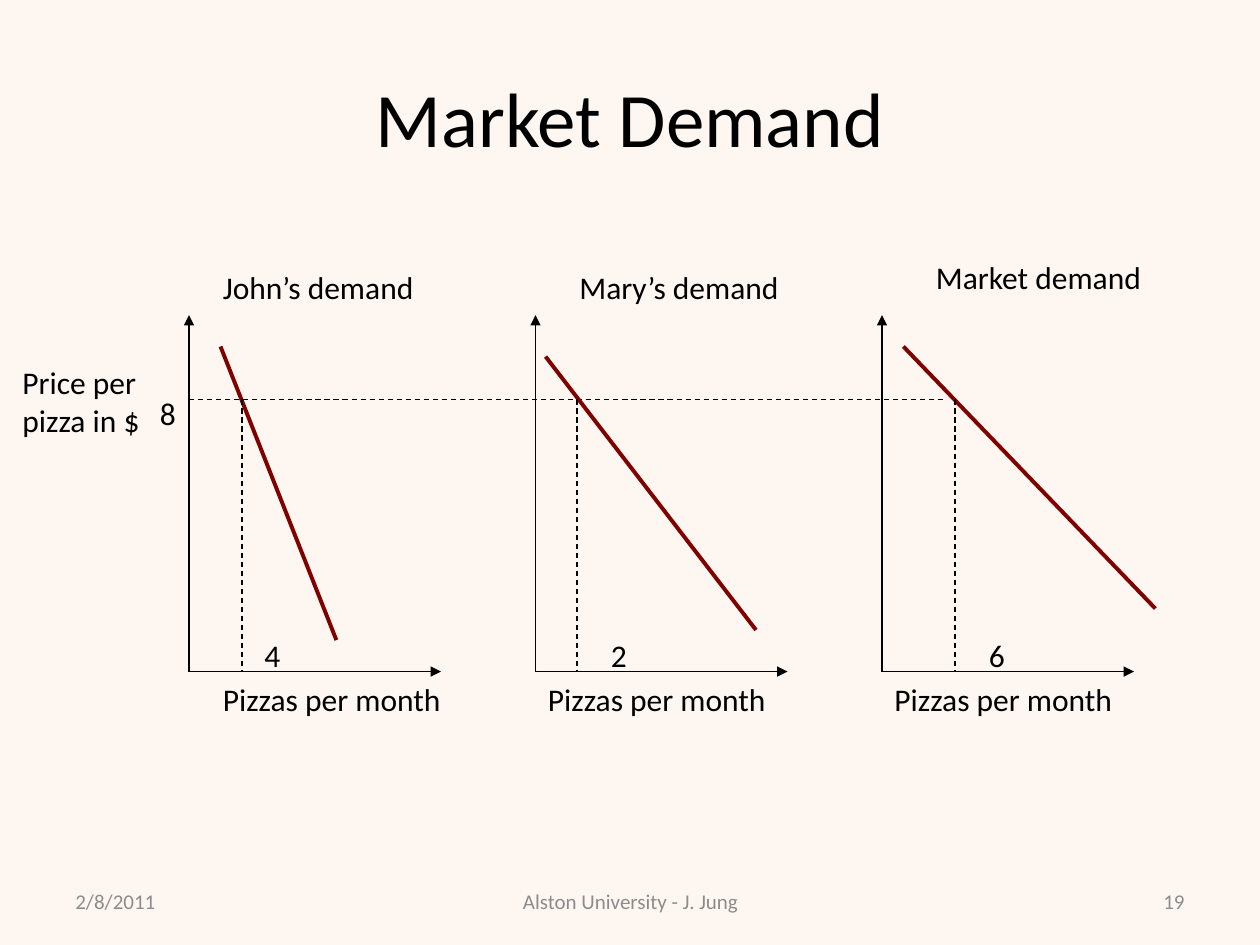
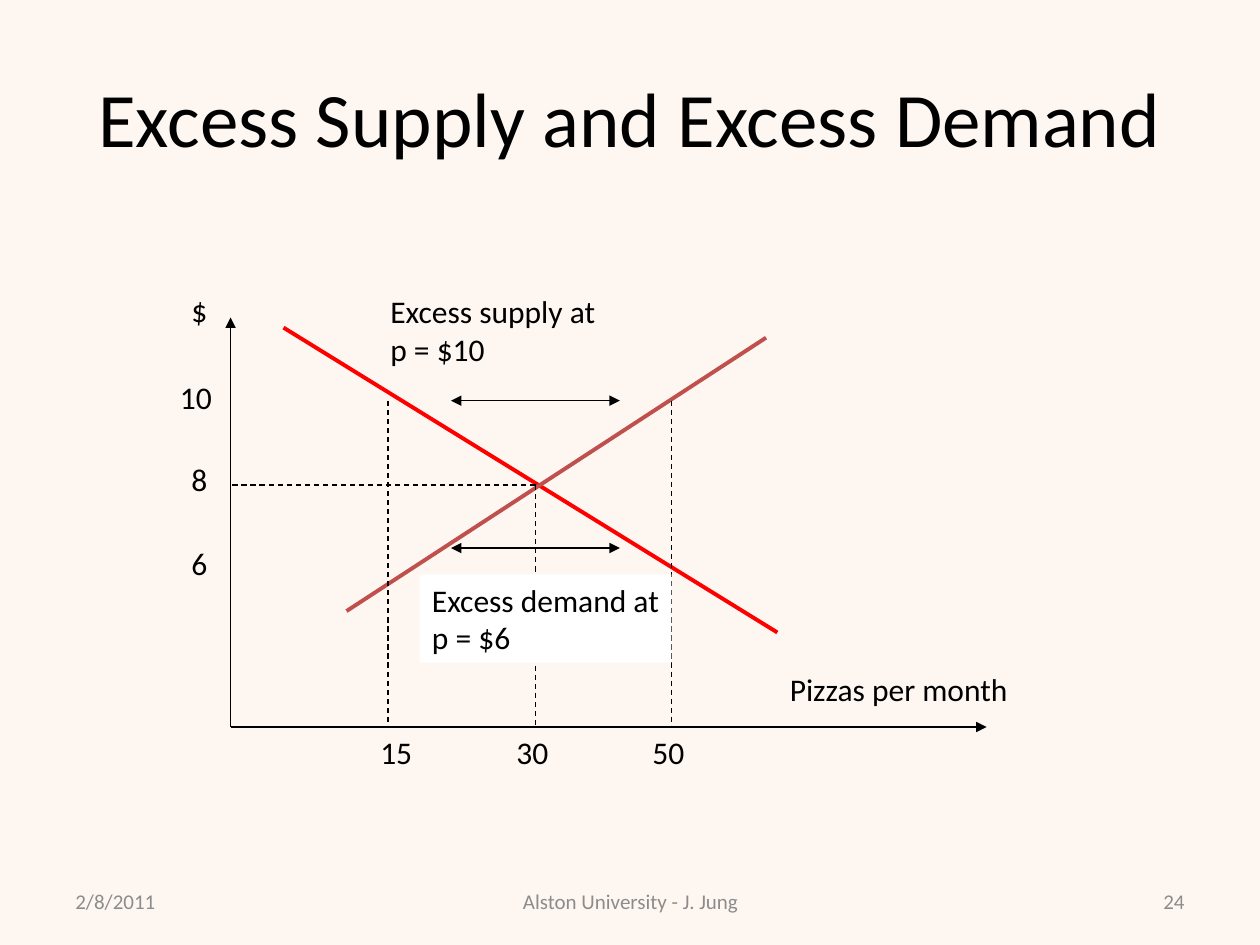
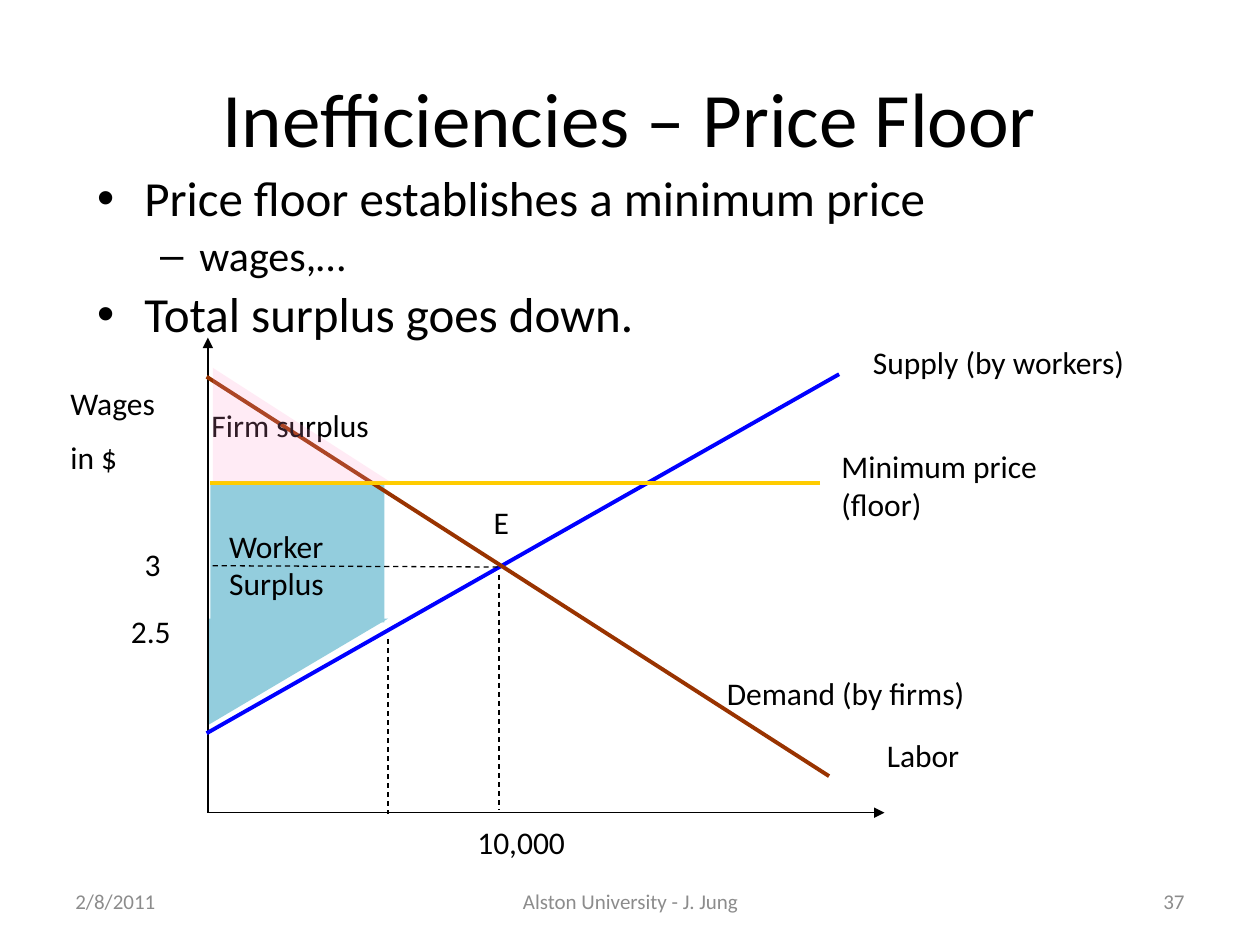
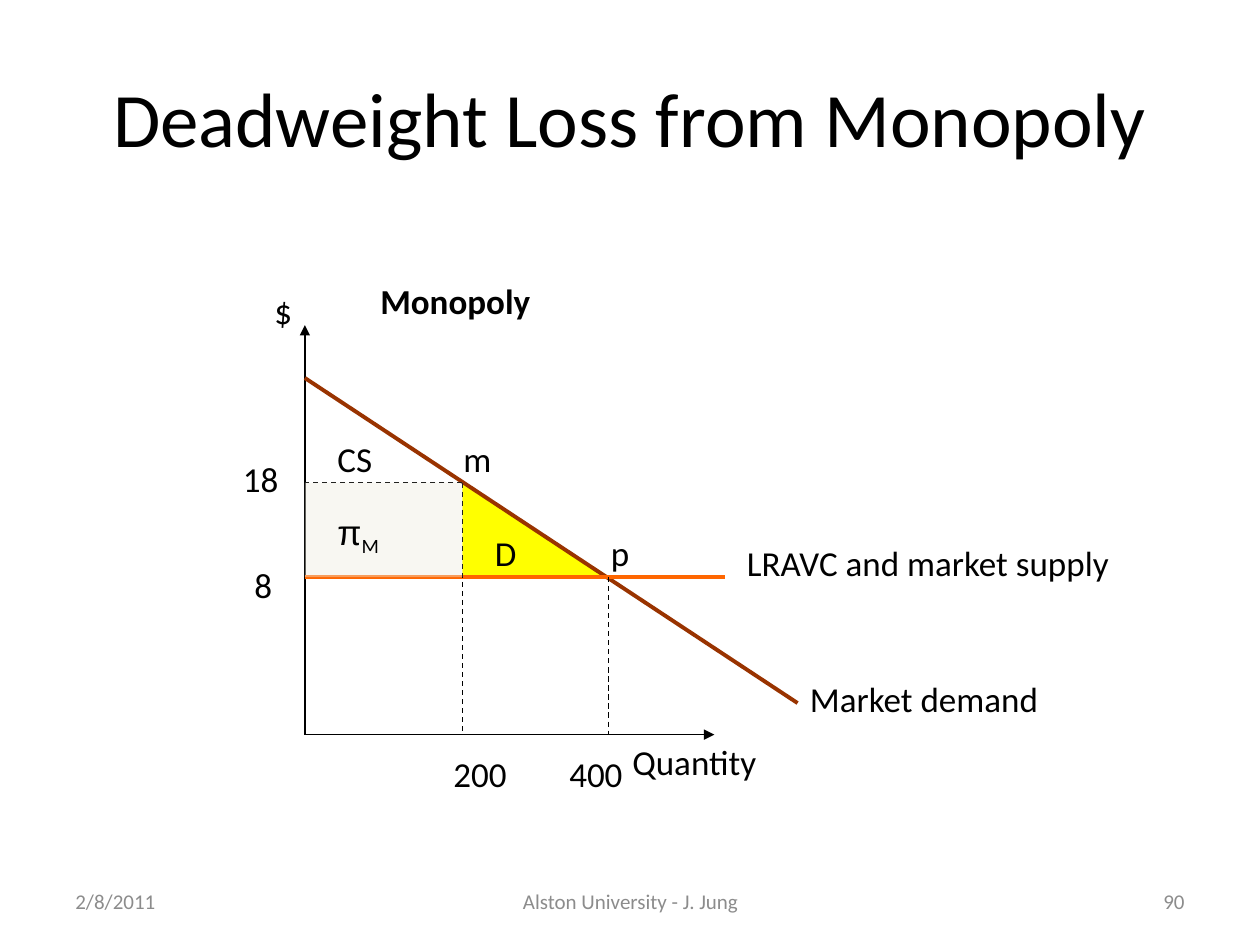
from typing import NamedTuple

from lxml.etree import SubElement
from pptx import Presentation
from pptx.dml.color import RGBColor
from pptx.enum.dml import MSO_LINE
from pptx.enum.shapes import MSO_CONNECTOR, MSO_SHAPE
from pptx.enum.text import MSO_ANCHOR, MSO_AUTO_SIZE, PP_ALIGN
from pptx.oxml.ns import qn
from pptx.presentation import Presentation as Deck
from pptx.slide import Slide
from pptx.util import Inches, Pt

# Shared style
BLACK = RGBColor(0x00, 0x00, 0x00)
WHITE = RGBColor(0xFF, 0xFF, 0xFF)
CREAM = RGBColor(0xFE, 0xF7, 0xF1)
FOOTER_GRAY = RGBColor(0x8C, 0x8C, 0x8C)
MAROON = RGBColor(0x80, 0x00, 0x00)
RED = RGBColor(0xFF, 0x00, 0x00)
BRICK = RGBColor(0xC0, 0x50, 0x4D)
BLUE = RGBColor(0x00, 0x00, 0xFF)
BROWN = RGBColor(0x99, 0x33, 0x00)
GOLD = RGBColor(0xFF, 0xCC, 0x00)
ORANGE = RGBColor(0xFF, 0x66, 0x00)
AQUA = RGBColor(0x93, 0xCD, 0xDD)
PINK = RGBColor(0xFF, 0x99, 0xCC)
YELLOW = RGBColor(0xFF, 0xFF, 0x00)
TAN = RGBColor(0xEE, 0xEC, 0xE1)

FONT = "Calibri"
THIN, THICK = 0.75, 2.25
TITLE_ONLY, TITLE_AND_BODY = 5, 1


class Point(NamedTuple):
    x: float
    y: float


class Box(NamedTuple):
    left: float
    top: float
    width: float
    height: float = 0.4


class Label(NamedTuple):
    text: str
    box: Box


class Axes(NamedTuple):
    origin: Point
    top: float
    right: float


class Curve(NamedTuple):
    start: Point
    end: Point
    color: RGBColor


class DemandPanel(NamedTuple):
    axis_x: float
    curve: Curve
    guide_x: float
    quantity: Label
    heading: Label
    axis_label_box: Box


TITLE_BOX = Box(0.5, 0.3, 9, 1.25)
FOOTER_TOP = 6.95


# Drawing functions
def place(shape, box: Box) -> None:
    shape.left, shape.top, shape.width, shape.height = map(Inches, box)


def format_text(frame, *, size: float, color: RGBColor = BLACK, font: str = FONT,
                bold: bool = False, align: PP_ALIGN = PP_ALIGN.LEFT) -> None:
    for paragraph in frame.paragraphs:
        paragraph.alignment = align
        for run in paragraph.runs:
            run.font.name, run.font.size, run.font.bold = font, Pt(size), bold
            run.font.color.rgb = color


def add_text(slide: Slide, text: str, box: Box, *, size: float = 18,
             anchor: MSO_ANCHOR = MSO_ANCHOR.TOP, grow: bool = True,
             fill: RGBColor | None = None, paragraph_gap: float = 0, **style):
    text_box = slide.shapes.add_textbox(*map(Inches, box))
    if fill is not None:
        text_box.fill.solid()
        text_box.fill.fore_color.rgb = fill
    frame = text_box.text_frame
    frame.word_wrap = True
    frame.auto_size = MSO_AUTO_SIZE.SHAPE_TO_FIT_TEXT if grow else MSO_AUTO_SIZE.NONE
    frame.vertical_anchor = anchor
    frame.text = text
    for paragraph in frame.paragraphs[1:]:
        paragraph.space_before = Pt(paragraph_gap)
    format_text(frame, size=size, **style)
    return frame


def add_labels(slide: Slide, labels: list[Label], size: float = 18) -> None:
    for label in labels:
        add_text(slide, label.text, label.box, size=size)


def add_line(slide: Slide, start: Point, end: Point, *, color: RGBColor = BLACK,
             width: float = THIN, dashed: bool = False,
             arrows: tuple[str, ...] = ()) -> None:
    connector = slide.shapes.add_connector(
        MSO_CONNECTOR.STRAIGHT, *map(Inches, (*start, *end)))
    connector.line.color.rgb = color
    connector.line.width = Pt(width)
    if dashed:
        connector.line.dash_style = MSO_LINE.DASH
    properties = connector._element.spPr
    for arrow in arrows:
        SubElement(properties.find(qn("a:ln")), qn(f"a:{arrow}"), type="triangle")
    SubElement(properties, qn("a:effectLst"))


def add_guide(slide: Slide, start: Point, end: Point) -> None:
    add_line(slide, start, end, dashed=True)


def add_curve(slide: Slide, curve: Curve) -> None:
    add_line(slide, curve.start, curve.end, color=curve.color, width=THICK)


def add_axes(slide: Slide, axes: Axes) -> None:
    for end in (Point(axes.origin.x, axes.top), Point(axes.right, axes.origin.y)):
        add_line(slide, axes.origin, end, arrows=("tailEnd",))


def add_area(slide: Slide, kind: MSO_SHAPE, box: Box, color: RGBColor, *,
             opacity: int = 100, rotation: float = 0) -> None:
    area = slide.shapes.add_shape(kind, *map(Inches, box))
    area.shadow.inherit = False
    area.rotation = rotation
    area.line.fill.background()
    area.fill.solid()
    area.fill.fore_color.rgb = color
    if opacity < 100:
        fill_color = next(area._element.spPr.iter(qn("a:srgbClr")))
        SubElement(fill_color, qn("a:alpha"), val=str(opacity * 1000))


def add_slide(deck: Deck, title: str, number: int, *, background: RGBColor = WHITE,
              layout: int = TITLE_ONLY) -> Slide:
    slide = deck.slides.add_slide(deck.slide_layouts[layout])
    slide.background.fill.solid()
    slide.background.fill.fore_color.rgb = background
    heading = slide.shapes.title
    place(heading, TITLE_BOX)
    heading.text_frame.text = title
    heading.text_frame.vertical_anchor = MSO_ANCHOR.MIDDLE
    format_text(heading.text_frame, size=44, align=PP_ALIGN.CENTER)

    footers = (
        ("2/8/2011", 0.5, 2.33, PP_ALIGN.LEFT),
        ("Alston University - J. Jung", 3.42, 3.17, PP_ALIGN.CENTER),
        (str(number), 7.17, 2.33, PP_ALIGN.RIGHT),
    )
    for text, left, width, align in footers:
        add_text(slide, text, Box(left, FOOTER_TOP, width), size=12, color=FOOTER_GRAY,
                 align=align, anchor=MSO_ANCHOR.MIDDLE, grow=False)
    return slide


# Slide content
def build_market_demand(deck: Deck) -> None:
    slide = add_slide(deck, "Market Demand", 19, background=CREAM)
    base, price_y = 5.33, 3.17
    panels = [
        DemandPanel(1.5, Curve(Point(1.75, 2.75), Point(2.67, 5.08), MAROON), 1.92,
                    Label("4", Box(2, 5, 0.5)),
                    Label("John’s demand", Box(1.67, 2.08, 2.17)),
                    Box(1.67, 5.35, 2.75)),
        DemandPanel(4.25, Curve(Point(4.33, 2.83), Point(6, 5), MAROON), 4.58,
                    Label("2", Box(4.75, 5, 0.42)),
                    Label("Mary’s demand", Box(4.5, 2.08, 1.92)),
                    Box(4.25, 5.35, 2.58)),
        DemandPanel(7, Curve(Point(7.17, 2.75), Point(9.17, 4.83), MAROON), 7.58,
                    Label("6", Box(7.75, 5, 0.58)),
                    Label("Market demand", Box(7.33, 2, 2)),
                    Box(7, 5.35, 2.58)),
    ]
    add_guide(slide, Point(1.5, price_y), Point(7.5, price_y))
    for panel in panels:
        add_axes(slide, Axes(Point(panel.axis_x, base), 2.5, panel.axis_x + 2))
        add_curve(slide, panel.curve)
        add_guide(slide, Point(panel.guide_x, price_y), Point(panel.guide_x, base))
        add_labels(slide, [panel.quantity, panel.heading,
                           Label("Pizzas per month", panel.axis_label_box)])
    add_labels(slide, [
        Label("Price per pizza in $", Box(0.08, 2.83, 1.33, 0.7)),
        Label("8", Box(1.17, 3.08, 0.58)),
    ])


def build_excess_supply_and_demand(deck: Deck) -> None:
    slide = add_slide(deck, "Excess Supply and Excess Demand", 24, background=CREAM)
    origin = Point(1.83, 5.77)
    high_price_y, equilibrium_y = 3.18, 3.85
    add_axes(slide, Axes(origin, 2.52, 7.83))
    add_curve(slide, Curve(Point(2.25, 2.6), Point(6.17, 5.02), RED))
    add_curve(slide, Curve(Point(2.75, 4.85), Point(6.08, 2.68), BRICK))

    # Guides and excess arrows
    for x, y in ((3.08, high_price_y), (4.25, equilibrium_y), (5.33, high_price_y)):
        add_guide(slide, Point(x, y), Point(x, origin.y))
    add_guide(slide, Point(4.25, equilibrium_y), Point(origin.x, equilibrium_y))
    for y in (high_price_y, 4.35):
        add_line(slide, Point(3.58, y), Point(4.92, y), arrows=("headEnd", "tailEnd"))

    add_labels(slide, [
        Label("$", Box(1.42, 2.26, 0.67)),
        Label("10", Box(1.33, 2.95, 0.67)),
        Label("8", Box(1.42, 3.6, 0.42)),
        Label("6", Box(1.42, 4.27, 0.42)),
        Label("15", Box(2.92, 5.77, 0.5)),
        Label("30", Box(4, 5.77, 0.92)),
        Label("50", Box(5.08, 5.77, 0.92)),
        Label("Pizzas per month", Box(6.17, 5.27, 2.5)),
        Label("Excess supply at\vp = $10", Box(3, 2.27, 2.33, 0.7)),
    ])
    add_text(slide, "Excess demand at p = $6", Box(3.33, 4.56, 2, 0.7), fill=WHITE)


def build_price_floor(deck: Deck) -> None:
    slide = add_slide(deck, "Inefficiencies – Price Floor", 37, layout=TITLE_AND_BODY)
    body = slide.placeholders[1]
    place(body, Box(0.67, 1.33, 9, 1.42))
    frame = body.text_frame
    frame.auto_size = MSO_AUTO_SIZE.NONE
    frame.text = "Price floor establishes a minimum price\nwages,…\nTotal surplus goes down."
    format_text(frame, size=28)
    for paragraph in frame.paragraphs:
        paragraph.line_spacing = 0.9
    example = frame.paragraphs[1]
    example.level = 1
    example.runs[0].font.size = Pt(24)

    # Worker surplus lies under the curves
    add_area(slide, MSO_SHAPE.RECTANGLE, Box(1.67, 3.83, 1.38, 1.11), AQUA)
    add_axes(slide, Axes(Point(1.65, 6.45), 2.68, 7.02))
    add_curve(slide, Curve(Point(1.64, 5.82), Point(6.66, 2.97), BLUE))
    add_curve(slide, Curve(Point(1.64, 2.99), Point(6.58, 6.16), BROWN))
    add_curve(slide, Curve(Point(6.51, 3.83), Point(1.67, 3.83), GOLD))
    add_area(slide, MSO_SHAPE.RIGHT_TRIANGLE, Box(1.95, 4.62, 0.84, 1.42), AQUA,
             rotation=90)

    add_labels(slide, [
        Label("Firm surplus", Box(1.58, 3.17, 1.49)),
        Label("Worker Surplus", Box(1.72, 4.13, 1.61, 0.71)),
        Label("Labor", Box(6.94, 5.79, 2.07)),
        Label("Supply (by workers)", Box(6.83, 2.67, 2.25)),
        Label("Demand (by firms)", Box(5.67, 5.3, 2.25)),
        Label("Minimum price (floor)", Box(6.58, 3.5, 2.14, 0.71)),
        Label("E", Box(3.82, 3.94, 0.9)),
        Label("3", Box(1.05, 4.28, 0.66)),
        Label("2.5", Box(0.94, 4.81, 0.63)),
        Label("10,000", Box(3.69, 6.48, 1.49)),
    ])
    add_text(slide, "Wages\nin $", Box(0.46, 3, 1.79, 0.86), paragraph_gap=9)

    # Translucent firm surplus and guides lie on top
    add_area(slide, MSO_SHAPE.RIGHT_TRIANGLE, Box(1.69, 2.92, 1.4, 0.9), PINK, opacity=19)
    add_guide(slide, Point(3.96, 4.56), Point(3.96, 6.43))
    add_guide(slide, Point(3.95, 4.5), Point(1.66, 4.49))
    add_guide(slide, Point(3.08, 5.07), Point(3.08, 6.46))


def build_deadweight_loss(deck: Deck) -> None:
    slide = add_slide(deck, "Deadweight Loss from Monopoly", 90)
    origin = Point(2.42, 5.83)
    monopoly, competition = Point(3.67, 3.83), Point(4.83, 4.58)
    markup = competition.y - monopoly.y

    add_area(slide, MSO_SHAPE.RIGHT_TRIANGLE, Box(*monopoly, 1.17, markup), YELLOW)
    add_axes(slide, Axes(origin, 2.58, 5.67))
    add_curve(slide, Curve(Point(origin.x, 3), Point(6.33, 5.58), BROWN))
    add_curve(slide, Curve(Point(5.75, competition.y), Point(origin.x, competition.y), ORANGE))
    for outcome in (monopoly, competition):
        add_guide(slide, outcome, Point(outcome.x, origin.y))
    add_guide(slide, monopoly, Point(origin.x, monopoly.y))
    add_area(slide, MSO_SHAPE.RECTANGLE, Box(origin.x, monopoly.y, 1.25, markup), TAN,
             opacity=41)

    add_labels(slide, [
        Label("$", Box(2.08, 2.25, 3.25, 0.44)),
        Label("18", Box(1.83, 3.58, 0.58, 0.44)),
        Label("8", Box(1.92, 4.42, 0.42, 0.44)),
        Label("200", Box(3.5, 5.92, 0.83, 0.44)),
        Label("400", Box(4.42, 5.92, 0.83, 0.44)),
        Label("Quantity", Box(4.92, 5.83, 2.17, 0.44)),
        Label("Market demand", Box(6.33, 5.33, 2.17, 0.44)),
        Label("LRAVC and market supply", Box(5.83, 4.25, 4.08, 0.44)),
        Label("CS", Box(2.58, 3.42, 0.58, 0.44)),
        Label("D", Box(3.83, 4.17, 0.42, 0.44)),
        Label("m", Box(3.58, 3.42, 1, 0.44)),
        Label("p", Box(4.75, 4.17, 0.5, 0.44)),
    ], size=20)
    add_text(slide, "Monopoly", Box(2.92, 2.17, 3, 0.44), size=20, bold=True)

    # Monopoly profit with its subscript
    profit = add_text(slide, "π", Box(2.58, 4, 0.67, 0.44), size=20, font="Arial")
    subscript = profit.paragraphs[0].add_run()
    subscript.text = "M"
    subscript.font.name, subscript.font.size = FONT, Pt(20)
    subscript.font.color.rgb = BLACK
    subscript._r.get_or_add_rPr().set("baseline", "-25000")


def main() -> None:
    deck = Presentation()
    deck.slide_width, deck.slide_height = Inches(10), Inches(7.5)
    build_market_demand(deck)
    build_excess_supply_and_demand(deck)
    build_price_floor(deck)
    build_deadweight_loss(deck)
    deck.save("out.pptx")


if __name__ == "__main__":
    main()
